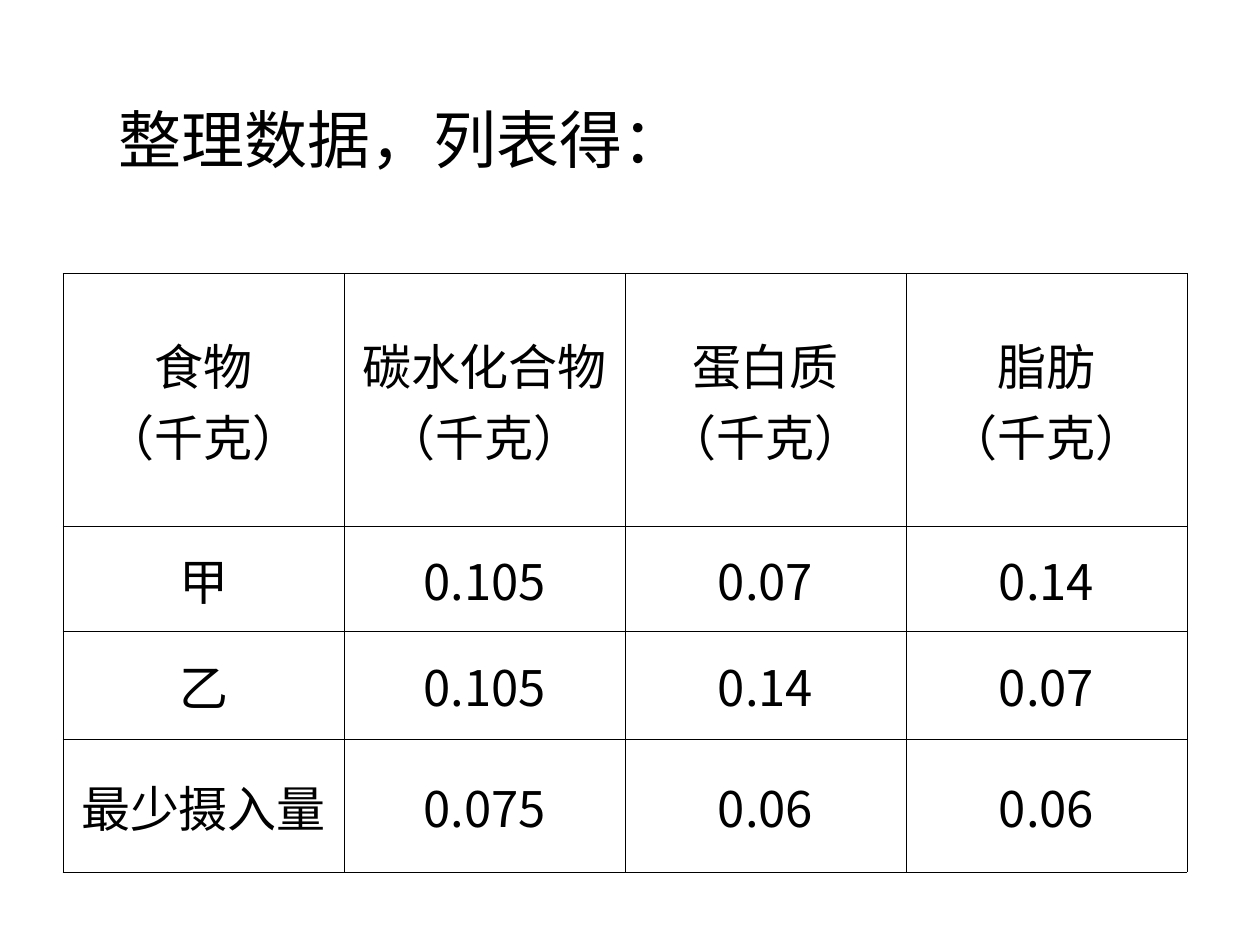
"""Build a slide that tabulates nutrient content per food."""
from lxml import etree
from pptx import Presentation
from pptx.dml.color import RGBColor
from pptx.enum import text
from pptx.oxml import ns
from pptx.util import Inches, Pt

BLACK = "000000"
CJK_FONT = "Noto Sans CJK SC"
UNIT = "（千克）"
ROWS = [
    [f"{name}\n{UNIT}" for name in ("食物", "碳水化合物", "蛋白质", "脂肪")],
    ["甲", "0.105", "0.07", "0.14"],
    ["乙", "0.105", "0.14", "0.07"],
    ["最少摄入量", "0.075", "0.06", "0.06"],
]
ROW_HEIGHTS = [2.01, 0.83, 0.86, 1.05]
COLUMN_WIDTH = 2.23


def color(value):
    """Return the colour for a hex string."""
    return RGBColor.from_string(value)


def add_run(paragraph, words, size, font_name):
    """Add one black run with Latin and East Asian fonts."""
    run = paragraph.add_run()
    run.text = words
    run.font.size = Pt(size)
    run.font.name = font_name
    run.font.color.rgb = color(BLACK)
    east_asian = etree.SubElement(run.font._element, ns.qn("a:ea"))
    east_asian.set("typeface", CJK_FONT)


def set_title(slide, words):
    """Place and format the title."""
    title = slide.shapes.title
    title.left, title.top = Inches(0.84), Inches(0.75)
    title.width, title.height = Inches(4.7), Inches(0.7)
    frame = title.text_frame
    frame.word_wrap = False
    frame.auto_size = text.MSO_AUTO_SIZE.SHAPE_TO_FIT_TEXT
    frame.vertical_anchor = text.MSO_ANCHOR.TOP
    paragraph = frame.paragraphs[0]
    paragraph.alignment = text.PP_ALIGN.LEFT
    add_run(paragraph, words, 36, "Times New Roman")


def set_borders(cell):
    """Draw a thin black line on each side of a cell."""
    properties = cell._tc.get_or_add_tcPr()
    for index, side in enumerate("LRTB"):
        line = etree.Element(ns.qn(f"a:ln{side}"), w=str(Pt(0.45)))
        fill = etree.SubElement(line, ns.qn("a:solidFill"))
        etree.SubElement(fill, ns.qn("a:srgbClr"), val=BLACK)
        properties.insert(index, line)


def fill_cell(cell, words):
    """Write centred lines into a bordered, unfilled cell."""
    cell.fill.background()
    set_borders(cell)
    cell.vertical_anchor = text.MSO_ANCHOR.MIDDLE
    frame = cell.text_frame
    for index, line in enumerate(words.split("\n")):
        paragraph = frame.add_paragraph() if index else frame.paragraphs[0]
        paragraph.alignment = text.PP_ALIGN.CENTER
        add_run(paragraph, line, 28, CJK_FONT)


def add_nutrient_table(slide):
    """Add the table of nutrients."""
    columns = len(ROWS[0])
    table = slide.shapes.add_table(
        len(ROWS), columns, Inches(0.5), Inches(2.17),
        Inches(COLUMN_WIDTH * columns), Inches(sum(ROW_HEIGHTS))).table
    table.first_row = table.horz_banding = False
    for column in table.columns:
        column.width = Inches(COLUMN_WIDTH)
    for row, height, values in zip(table.rows, ROW_HEIGHTS, ROWS):
        row.height = Inches(height)
        for cell, words in zip(row.cells, values):
            fill_cell(cell, words)


def main():
    """Build and save the presentation."""
    presentation = Presentation()
    presentation.slide_width, presentation.slide_height = Inches(10), Inches(7.5)
    slide = presentation.slides.add_slide(presentation.slide_layouts[5])
    set_title(slide, "整理数据，列表得：")
    add_nutrient_table(slide)
    presentation.save("out.pptx")


if __name__ == "__main__":
    main()
